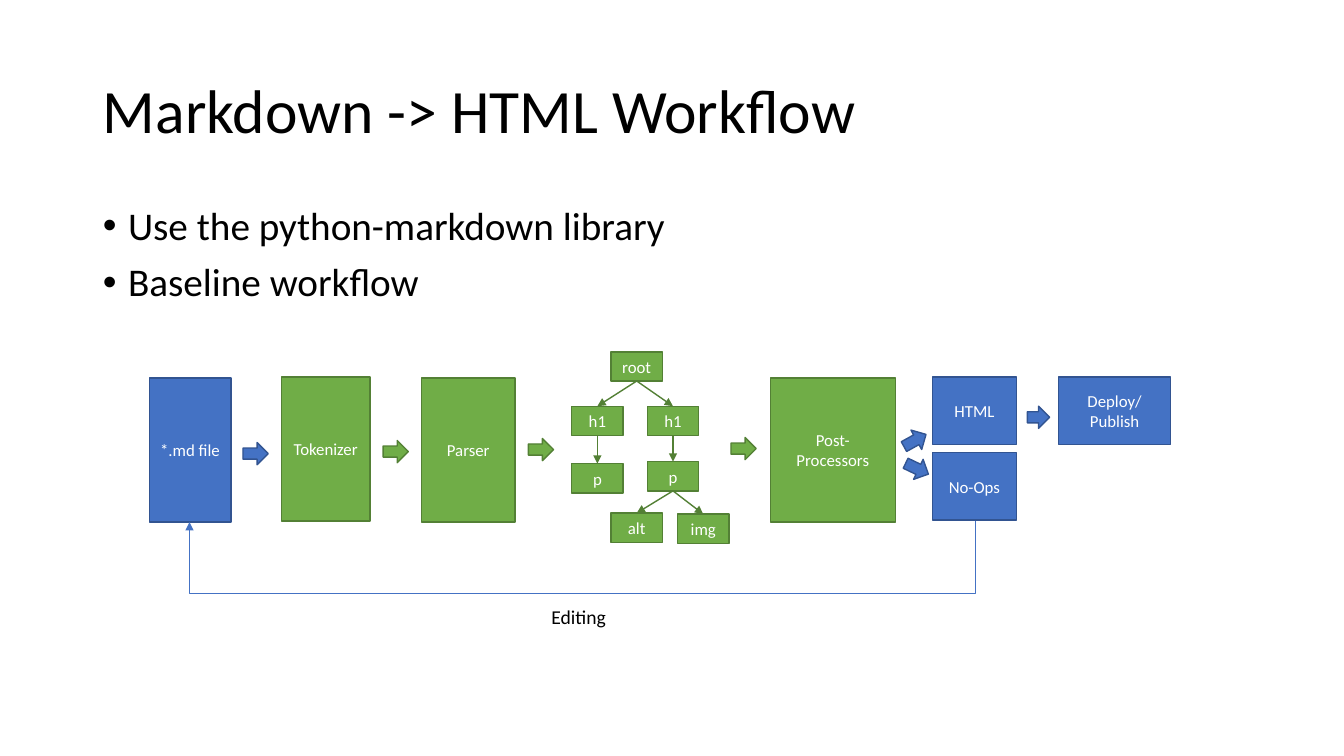
"""Build the Markdown to HTML workflow slide on a grid of tenth-inch cells."""
import dataclasses

import lxml.etree
import pptx
import pptx.dml.color
import pptx.enum.shapes
import pptx.enum.text
import pptx.oxml.ns
import pptx.util


@dataclasses.dataclass(frozen=True)
class Theme:
    font: str = "Calibri"
    black: str = "000000"
    white: str = "FFFFFF"
    blue: tuple = ("4472C4", "325491")
    green: tuple = ("70AD47", "538035")
    title_size: int = 44
    body_size: int = 28
    caption_size: int = 14
    label_size: int = 12
    outline: float = 1
    thin: float = 0.5


def cells(count):
    return pptx.util.Inches(count / 10)


def color(value):
    return pptx.dml.color.RGBColor.from_string(value)


def add_element(parent, tag, **attributes):
    return lxml.etree.SubElement(parent, pptx.oxml.ns.qn(tag), attributes)


class WorkflowSlide:
    def __init__(self, slide, theme):
        self.slide = slide
        self.theme = theme

    def set_text(self, frame, text, size, ink, alignment=pptx.enum.text.PP_ALIGN.LEFT):
        frame.text = text
        for paragraph in frame.paragraphs:
            paragraph.alignment = alignment
            paragraph.font.name = self.theme.font
            paragraph.font.size = pptx.util.Pt(size)
            paragraph.font.color.rgb = color(ink)

    def placeholder(self, index, text, size, top, height, anchor):
        shape = self.slide.placeholders[index]
        shape.left, shape.top, shape.width, shape.height = map(cells, (9.2, top, 115, height))
        frame = shape.text_frame
        frame.auto_size = pptx.enum.text.MSO_AUTO_SIZE.NONE
        frame.vertical_anchor = anchor
        self.set_text(frame, text, size, self.theme.black)
        for paragraph in frame.paragraphs:
            paragraph.line_spacing = 0.9
        return frame

    def title(self, text):
        self.placeholder(0, text, self.theme.title_size, 4, 14.5, pptx.enum.text.MSO_ANCHOR.MIDDLE)

    def bullets(self, items):
        frame = self.placeholder(1, "\n".join(items), self.theme.body_size, 20, 47.6,
                                 pptx.enum.text.MSO_ANCHOR.TOP)
        indent = cells(2.5)
        for paragraph in frame.paragraphs:
            paragraph.space_before = pptx.util.Pt(10)
            properties = paragraph._p.get_or_add_pPr()
            properties.set("marL", str(indent))
            properties.set("indent", str(-indent))
            for default_run in properties.findall(pptx.oxml.ns.qn("a:defRPr")):
                properties.remove(default_run)
                add_element(properties, "a:buFont", typeface="Arial")
                add_element(properties, "a:buChar", char="•")
                properties.append(default_run)

    def preset(self, kind, colors, left, top, width, height):
        shape = self.slide.shapes.add_shape(kind, *map(cells, (left, top, width, height)))
        fill, line = colors
        shape.shadow.inherit = False
        shape.fill.solid()
        shape.fill.fore_color.rgb = color(fill)
        shape.line.color.rgb = color(line)
        shape.line.width = pptx.util.Pt(self.theme.outline)
        return shape

    def box(self, text, colors, left, top, width, height):
        shape = self.preset(pptx.enum.shapes.MSO_SHAPE.RECTANGLE, colors, left, top, width, height)
        shape.text_frame.vertical_anchor = pptx.enum.text.MSO_ANCHOR.MIDDLE
        self.set_text(shape.text_frame, text, self.theme.label_size, self.theme.white,
                      pptx.enum.text.PP_ALIGN.CENTER)
        return shape

    def node(self, text, left, top):
        return self.box(text, self.theme.green, left, top, 5.1, 2.9)

    def block_arrow(self, colors, left, top, rotation=0, width=2.5):
        shape = self.preset(pptx.enum.shapes.MSO_SHAPE.RIGHT_ARROW, colors, left, top, width, 2.2)
        shape.rotation = rotation

    def connector(self, kind, ends, ink, width):
        line = self.slide.shapes.add_connector(kind, *map(cells, ends))
        line.line.color.rgb = color(ink)
        line.line.width = pptx.util.Pt(width)
        properties = line._element.spPr
        add_element(properties.find(pptx.oxml.ns.qn("a:ln")), "a:tailEnd", type="triangle")
        add_element(properties, "a:effectLst")
        return line

    def branch(self, parent, child):
        line = self.connector(pptx.enum.shapes.MSO_CONNECTOR.STRAIGHT, (0, 0, 1, 1),
                              self.theme.green[1], self.theme.outline)
        line.begin_connect(parent, 2)
        line.end_connect(child, 0)

    def return_loop(self, start, end, bottom):
        (right, upper), (left, lower) = start, end
        rise, span = lower - upper, right - left
        middle_x, middle_y = (left + right) / 2, (upper + lower) / 2
        ends = (middle_x - rise / 2, middle_y - span / 2, middle_x + rise / 2, middle_y + span / 2)
        line = self.connector(pptx.enum.shapes.MSO_CONNECTOR.ELBOW, ends,
                              self.theme.blue[0], self.theme.thin)
        properties = line._element.spPr
        properties.find(pptx.oxml.ns.qn("a:xfrm")).set("rot", "5400000")
        geometry = properties.find(pptx.oxml.ns.qn("a:prstGeom"))
        adjustments = geometry.find(pptx.oxml.ns.qn("a:avLst"))
        if adjustments is None:
            adjustments = add_element(geometry, "a:avLst")
        bend = round((bottom - upper) / rise * 100000)
        add_element(adjustments, "a:gd", name="adj1", fmla=f"val {bend}")

    def caption(self, text, left, top, width, height):
        shape = self.slide.shapes.add_textbox(*map(cells, (left, top, width, height)))
        shape.text_frame.word_wrap = False
        shape.text_frame.auto_size = pptx.enum.text.MSO_AUTO_SIZE.SHAPE_TO_FIT_TEXT
        self.set_text(shape.text_frame, text, self.theme.caption_size, self.theme.black)


theme = Theme()
presentation = pptx.Presentation()
presentation.slide_width = pptx.util.Inches(13.33)
presentation.slide_height = pptx.util.Inches(7.5)
workflow = WorkflowSlide(presentation.slides.add_slide(presentation.slide_layouts[1]), theme)

workflow.title("Markdown -> HTML Workflow")
workflow.bullets(["Use the python-markdown library", "Baseline workflow"])

for text, colors, left, top, width in (
    ("*.md file", theme.blue, 14.8, 37.5, 8.1),
    ("Tokenizer", theme.green, 27.9, 37.4, 8.8),
    ("Parser", theme.green, 41.8, 37.5, 9.3),
    ("Post-Processors", theme.green, 76.4, 37.5, 12.4),
):
    workflow.box(text, colors, left, top, width, 14.3)

for text, left, top, width in (
    ("HTML", 92.5, 37.4, 8.3),
    ("No-Ops", 92.5, 44.9, 8.3),
    ("Deploy/\nPublish", 105, 37.4, 11.1),
):
    workflow.box(text, theme.blue, left, top, width, 6.7)

root = workflow.node("root", 60.6, 34.9)
left_heading = workflow.node("h1", 56.7, 40.3)
right_heading = workflow.node("h1", 64.2, 40.3)
left_paragraph = workflow.node("p", 56.7, 46)
right_paragraph = workflow.node("p", 64.2, 45.8)
alt = workflow.node("alt", 60.6, 50.9)
image = workflow.node("img", 67.2, 51)
for parent, child in (
    (root, left_heading), (root, right_heading),
    (left_heading, left_paragraph), (right_heading, right_paragraph),
    (right_paragraph, alt), (right_paragraph, image),
):
    workflow.branch(parent, child)

workflow.return_loop((96.7, 51.7), (18.8, 51.8), 59)
workflow.block_arrow(theme.blue, 24.1, 43.9)
for left, top in ((38, 43.7), (52.4, 43.5), (72.5, 43.4)):
    workflow.block_arrow(theme.green, left, top)
workflow.block_arrow(theme.blue, 89.5, 42.6, rotation=331.1)
workflow.block_arrow(theme.blue, 89.7, 45.4, rotation=25.5)
workflow.block_arrow(theme.blue, 101.9, 40.3, width=2.2)
workflow.caption("Editing", 53.7, 59.5, 7.5, 3.4)

presentation.save("out.pptx")
